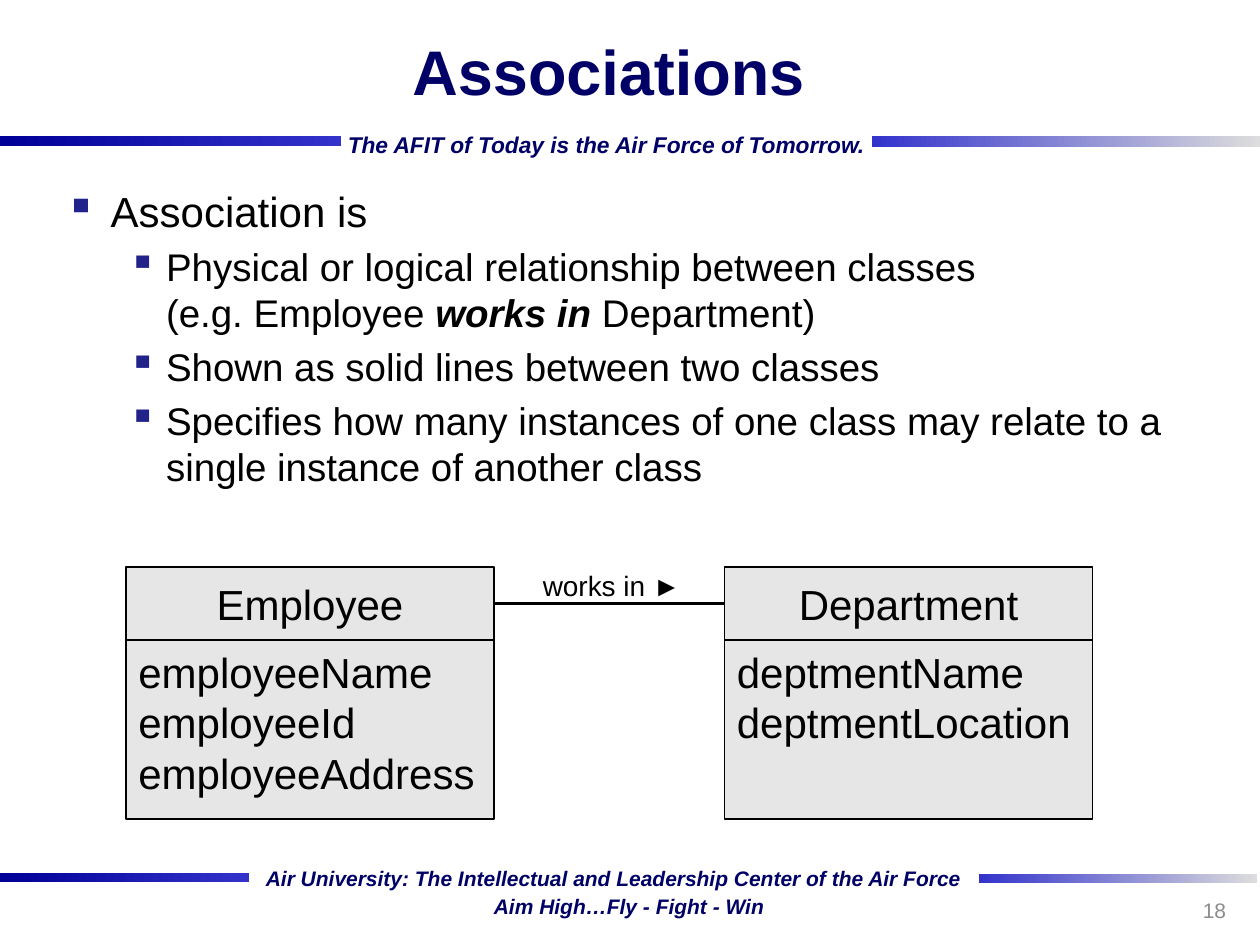
"""Build the Associations slide with its two class boxes."""
from dataclasses import dataclass

from lxml import etree
from pptx import Presentation
from pptx import util as u
from pptx.dml.color import RGBColor
from pptx.enum import shapes, text
from pptx.oxml.ns import qn

COLORS = {
    "navy": "000066", "deep": "000099", "blue": "3333CC", "silver": "DDDDDD",
    "bullet": "22228B", "black": "000000", "box": "E6E6E6", "gray": "8C8C8C",
}
LEFT, CENTER, RIGHT = text.PP_ALIGN.LEFT, text.PP_ALIGN.CENTER, text.PP_ALIGN.RIGHT
TOP, MIDDLE = text.MSO_ANCHOR.TOP, text.MSO_ANCHOR.MIDDLE
BOX_WIDTH, BOX_TOP, NAME_HEIGHT, FIELDS_HEIGHT = 2.92, 4.5, 0.58, 1.42


@dataclass
class Bar:
    left: float
    top: float
    width: float
    height: float
    start: str
    end: str


@dataclass
class Label:
    words: str
    left: float
    top: float
    width: float
    height: float
    size: float
    color: str = "navy"
    bold: bool = True
    italic: bool = True
    align: text.PP_ALIGN = LEFT
    anchor: text.MSO_ANCHOR = TOP
    wrap: bool = False
    inset: float = 0.09


@dataclass
class Bullet:
    lines: list
    level: int = 1


@dataclass
class ClassBox:
    name: str
    fields: list
    left: float


BARS = [
    Bar(0, 6.93, 1.98, 0.07, "deep", "blue"),
    Bar(7.77, 6.94, 2.21, 0.07, "blue", "silver"),
    Bar(6.92, 1.08, 3.08, 0.09, "blue", "silver"),
    Bar(0, 1.08, 2.71, 0.08, "deep", "blue"),
]
LABELS = [
    Label("Air University: The Intellectual and Leadership Center of the Air Force",
          2.02, 6.82, 5.76, 0.29, 12),
    Label("Aim High…Fly - Fight - Win", 3.83, 7.04, 2.36, 0.29, 12),
    Label("The AFIT of Today is the Air Force of Tomorrow.", 2.67, 0.99, 4.35, 0.31, 13),
    Label("Associations", 0.58, 0, 8.5, 1.12, 36, italic=False,
          align=CENTER, anchor=MIDDLE, wrap=True, inset=0.1),
    Label("18", 7.5, 7.02, 2.33, 0.4, 12, "gray", False, False, RIGHT, MIDDLE, True, 0.1),
    Label("works in ► ", 4.21, 4.46, 1.37, 0.37, 16, "black", False, False, inset=0.1),
]
BULLETS = [
    Bullet([[("Association is", False)]], 0),
    Bullet([[("Physical or logical relationship between classes", False)],
            [("(e.g. Employee ", False), ("works in", True), (" Department)", False)]]),
    Bullet([[("Shown as solid lines between two classes", False)]]),
    Bullet([[("Specifies how many instances of one class may relate to a "
              "single instance of another class", False)]]),
]
CLASSES = [
    ClassBox("Employee", ["employeeName", "employeeId", "employeeAddress"], 1),
    ClassBox("Department", ["deptmentName", "deptmentLocation"], 5.75),
]


def color(name: str) -> RGBColor:
    return RGBColor.from_string(COLORS[name])


def inches(*lengths: float) -> list:
    return [u.Inches(length) for length in lengths]


def add_run(paragraph, words: str, size: float, color_name: str = "black",
            bold: bool = False, italic: bool = False) -> None:
    run = paragraph.add_run()
    run.text = words
    font = run.font
    font.name, font.size, font.bold, font.italic = "Arial", u.Pt(size), bold, italic
    font.color.rgb = color(color_name)


def add_bar(slide, bar: Bar) -> None:
    shape = slide.shapes.add_shape(
        shapes.MSO_SHAPE.RECTANGLE, *inches(bar.left, bar.top, bar.width, bar.height))
    shape.shadow.inherit = False
    shape.line.fill.background()
    shape.fill.gradient()
    shape.fill.gradient_angle = 0
    for stop, name, position in zip(shape.fill.gradient_stops, (bar.start, bar.end), (0, 1)):
        stop.color.rgb = color(name)
        stop.position = position


def add_label(slide, label: Label) -> None:
    shape = slide.shapes.add_textbox(
        *inches(label.left, label.top, label.width, label.height))
    frame = shape.text_frame
    frame.word_wrap, frame.vertical_anchor = label.wrap, label.anchor
    frame.margin_left = frame.margin_right = u.Inches(label.inset)
    paragraph = frame.paragraphs[0]
    paragraph.alignment = label.align
    add_run(paragraph, label.words, label.size, label.color, label.bold, label.italic)


def add_bullets(slide, bullets: list) -> None:
    frame = slide.shapes.add_textbox(*inches(0.42, 1.42, 8.99, 2.67)).text_frame
    frame.word_wrap = True
    for index, bullet in enumerate(bullets):
        paragraph = frame.add_paragraph() if index else frame.paragraphs[0]
        size, margin, hanging = ((24, 0.36, 0.36), (22, 0.8, 0.3))[bullet.level]
        paragraph.level = bullet.level
        paragraph.space_before = u.Pt(size * 0.2)
        properties = paragraph._p.get_or_add_pPr()
        properties.set("marL", str(u.Inches(margin)))
        properties.set("indent", str(-u.Inches(hanging)))
        bullet_color = etree.SubElement(properties, qn("a:buClr"))
        etree.SubElement(bullet_color, qn("a:srgbClr"), val=COLORS["bullet"])
        etree.SubElement(properties, qn("a:buChar"), char="▪")
        for number, line in enumerate(bullet.lines):
            if number:
                paragraph.add_line_break()
            for words, strong in line:
                add_run(paragraph, words, size, bold=strong, italic=strong)


def add_compartment(slide, lines: list, left: float, top: float, height: float,
                    align: text.PP_ALIGN, anchor: text.MSO_ANCHOR) -> None:
    shape = slide.shapes.add_shape(
        shapes.MSO_SHAPE.RECTANGLE, *inches(left, top, BOX_WIDTH, height))
    shape.shadow.inherit = False
    shape.fill.solid()
    shape.fill.fore_color.rgb = color("box")
    shape.line.color.rgb = color("black")
    shape.line.width = u.Pt(1)
    frame = shape.text_frame
    frame.vertical_anchor = anchor
    for index, words in enumerate(lines):
        paragraph = frame.add_paragraph() if index else frame.paragraphs[0]
        paragraph.alignment = align
        add_run(paragraph, words, 24)


def add_class(slide, box: ClassBox) -> None:
    add_compartment(slide, [box.name], box.left, BOX_TOP, NAME_HEIGHT, CENTER, MIDDLE)
    add_compartment(slide, box.fields, box.left, BOX_TOP + NAME_HEIGHT,
                    FIELDS_HEIGHT, LEFT, TOP)


def add_association(slide, source: ClassBox, target: ClassBox) -> None:
    middle = BOX_TOP + NAME_HEIGHT / 2
    connector = slide.shapes.add_connector(
        shapes.MSO_CONNECTOR.STRAIGHT,
        *inches(source.left + BOX_WIDTH, middle, target.left, middle))
    connector.line.color.rgb = color("black")
    connector.line.width = u.Pt(1.5)
    etree.SubElement(connector._element.spPr, qn("a:effectLst"))


def main() -> None:
    presentation = Presentation()
    presentation.slide_width, presentation.slide_height = inches(10, 7.5)
    slide = presentation.slides.add_slide(presentation.slide_layouts[6])
    for bar in BARS:
        add_bar(slide, bar)
    add_bullets(slide, BULLETS)
    for box in CLASSES:
        add_class(slide, box)
    add_association(slide, *CLASSES)
    for label in LABELS:
        add_label(slide, label)
    presentation.save("out.pptx")


main()
